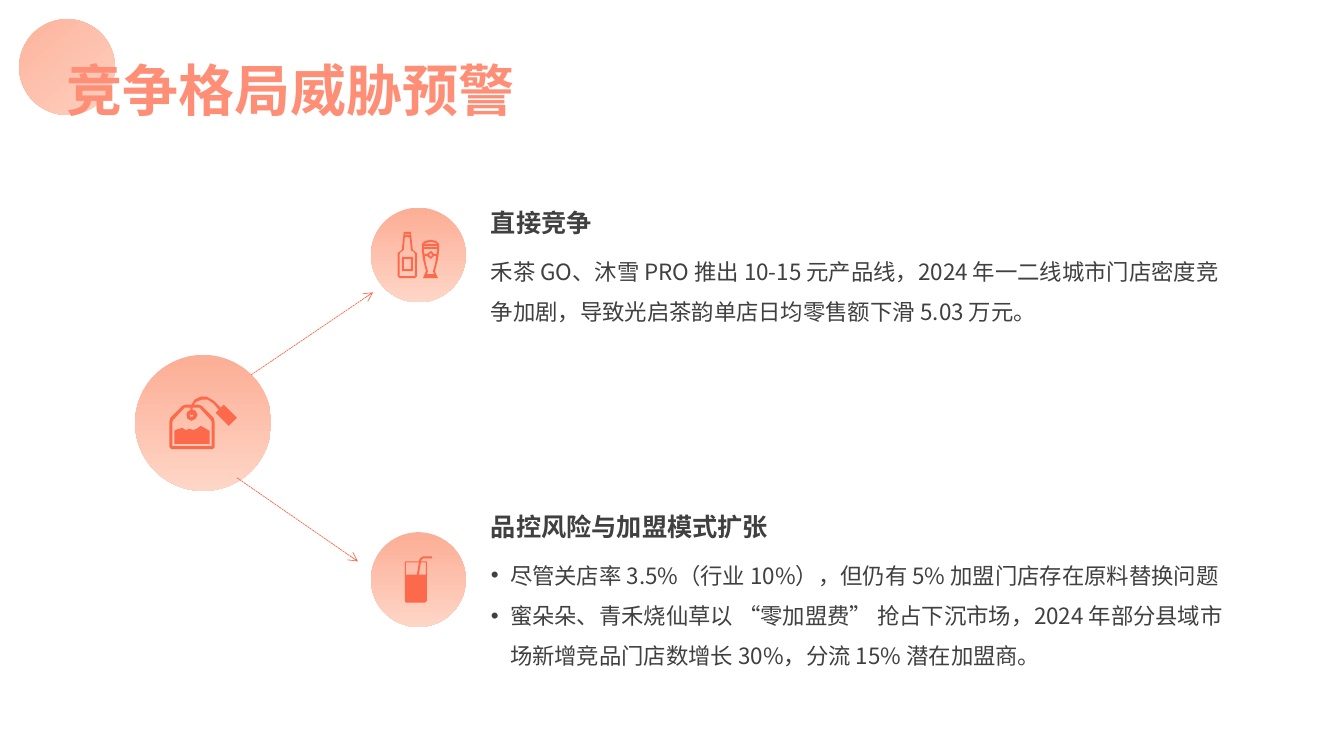
from lxml import etree
from pptx import Presentation
from pptx import util as u
from pptx.dml.color import RGBColor
from pptx.enum import dml, shapes, text
from pptx.oxml.ns import qn

FONT = "Noto Sans CJK SC"
CORAL = RGBColor(0xFC, 0x6A, 0x4B)
SALMON = RGBColor(0xFE, 0x8E, 0x76)
PEACH = RGBColor(0xFC, 0xAF, 0x97)
BLUSH = RGBColor(0xFE, 0xD6, 0xC7)
INK = RGBColor(0x40, 0x40, 0x40)

# Icon outlines in hundredths of an inch, measured from the icon's corner.
TEA_BAG = [
    [(31, 0), (37, 0), (44, 4), (51, 11), (54, 8), (67, 21), (59, 29), (46, 16),
     (49, 13), (44, 7), (38, 3), (32, 3), (27, 5), (24, 8), (29, 8), (32, 9),
     (44, 21), (45, 25), (45, 50), (43, 52), (2, 52), (0, 50), (0, 25), (1, 21),
     (13, 9), (16, 8), (22, 8), (25, 3)],
    [(15, 11), (4, 23), (3, 25), (3, 49), (42, 49), (42, 25), (41, 23), (30, 11),
     (23, 11), (23, 13), (26, 14), (28, 18), (26, 22), (22, 24), (18, 22),
     (17, 18), (18, 15), (21, 13), (21, 11)],
    [(21, 17), (21, 18), (23, 18), (23, 17), (24, 18), (23, 20), (21, 20), (20, 18)],
    [(6, 33), (9, 32), (13, 31), (16, 33), (20, 32), (24, 33), (27, 32), (31, 29),
     (35, 31), (40, 34), (40, 47), (5, 47), (5, 34)],
]
BOTTLE_AND_GLASS = [
    [(6, 0), (13, 0), (15, 18), (19, 21), (19, 44), (17, 46), (2, 46), (0, 44),
     (0, 21), (4, 18)],
    [(8, 5), (7, 6), (6, 18), (5, 19), (3, 20), (2, 22), (2, 44), (17, 44),
     (17, 22), (16, 20), (14, 19), (13, 18), (12, 6), (10, 5)],
    [(7, 2), (12, 2), (12, 3), (7, 3)],
    [(4, 25), (15, 25), (15, 39), (4, 39)],
    [(6, 27), (13, 27), (13, 37), (6, 37)],
    [(33, 8), (38, 9), (41, 12), (41, 19), (40, 27), (37, 39), (38, 42), (40, 46),
     (25, 46), (28, 39), (25, 27), (24, 19), (24, 12), (27, 9)],
    [(26, 17), (39, 17), (39, 19), (37, 32), (35, 39), (36, 42), (29, 42),
     (30, 39), (28, 32), (26, 19)],
    [(26, 14), (39, 14), (39, 15), (26, 15)],
    [(33, 10), (38, 11), (39, 12), (26, 12), (28, 11)],
    [(27, 22), (29, 22), (33, 19), (36, 22), (38, 22), (38, 24), (36, 24),
     (33, 27), (29, 24), (27, 24)],
    [(31, 23), (33, 21), (34, 23), (33, 25)],
]
JUICE = [
    [(18, 2), (27, 2), (27, 0), (18, 0), (15, 2), (14, 5), (0, 5), (0, 44),
     (1, 46), (20, 46), (22, 44), (22, 5), (16, 5), (17, 3)],
    [(1, 6), (14, 6), (12, 18), (1, 18)],
    [(21, 6), (21, 18), (14, 18), (16, 6)],
]


def inches(*lengths):
    """Turn lengths in inches into EMU."""
    return [u.Inches(length) for length in lengths]


def gradient(fill, stops, angle):
    """Give a fill a two-stop linear gradient."""
    fill.gradient()
    fill.gradient_angle = angle
    for stop, (position, color) in zip(fill.gradient_stops, stops):
        stop.position = position
        stop.color.rgb = color


def add_run(paragraph, words, size, bold=False):
    """Append a run in the slide's font and return it."""
    run = paragraph.add_run()
    run.text = words
    run.font.size = u.Pt(size)
    run.font.bold = bold
    run.font.color.rgb = INK
    run.font.name = FONT
    etree.SubElement(run.font._element, qn("a:ea"), typeface=FONT)
    return run


def add_disc(slide, left, top, size):
    """Draw a peach gradient disc."""
    disc = slide.shapes.add_shape(shapes.MSO_SHAPE.OVAL, *inches(left, top, size, size))
    disc.shadow.inherit = False
    disc.line.fill.background()
    gradient(disc.fill, [(0.04, PEACH), (1, BLUSH)], 270)
    return disc


def add_icon_disc(slide, left, top, size, outlines):
    """Draw a disc with an icon centred in it."""
    add_disc(slide, left, top, size)
    width, height = (max(p[axis] for o in outlines for p in o) / 100 for axis in (0, 1))
    builder = slide.shapes.build_freeform(*outlines[0][0], scale=u.Inches(0.01))
    for outline in outlines:
        builder.move_to(*outline[0])
        builder.add_line_segments(outline[1:], close=True)
    icon = builder.convert_to_shape(
        *inches(left + (size - width) / 2, top + (size - height) / 2))
    icon.shadow.inherit = False
    icon.fill.solid()
    icon.fill.fore_color.rgb = CORAL
    icon.line.fill.background()


def add_arrow(slide, start, end):
    """Draw a thin dashed arrow."""
    arrow = slide.shapes.add_connector(
        shapes.MSO_CONNECTOR.STRAIGHT, *inches(*start, *end))
    arrow.line.color.rgb = CORAL
    arrow.line.width = u.Pt(0.5)
    arrow.line.dash_style = dml.MSO_LINE.SQUARE_DOT
    properties = arrow.element.spPr
    etree.SubElement(properties.find(qn("a:ln")), qn("a:tailEnd"), type="arrow")
    etree.SubElement(properties, qn("a:effectLst"))


def add_title(slide, words):
    """Place the title over its corner disc."""
    title = slide.shapes.title
    title.left, title.top, title.width, title.height = inches(0.56, 0.5, 5.28, 0.77)
    frame = title.text_frame
    frame.word_wrap = True
    frame.auto_size = text.MSO_AUTO_SIZE.SHAPE_TO_FIT_TEXT
    frame.vertical_anchor = text.MSO_ANCHOR.TOP
    frame.paragraphs[0].alignment = text.PP_ALIGN.LEFT
    run = add_run(frame.paragraphs[0], words, 40, bold=True)
    gradient(run.font.fill, [(0, SALMON), (1, CORAL)], 144)
    disc = add_disc(slide, 0.19, 0.19, 0.95)
    disc.rotation = 320
    title.element.addprevious(disc.element)


def add_threat(slide, box, heading, heading_width, points, bulleted=False):
    """Place a heading with body text below it, inside the box."""
    left, top, width, height = box
    head = slide.shapes.add_textbox(*inches(left, top, heading_width, 0.4)).text_frame
    head.word_wrap = False
    head.auto_size = text.MSO_AUTO_SIZE.SHAPE_TO_FIT_TEXT
    add_run(head.paragraphs[0], heading, 18, bold=True)
    body = slide.shapes.add_textbox(
        *inches(left, top + 0.37, width, height - 0.37)).text_frame
    body.word_wrap = True
    body.auto_size = text.MSO_AUTO_SIZE.SHAPE_TO_FIT_TEXT
    for index, point in enumerate(points):
        paragraph = body.add_paragraph() if index else body.paragraphs[0]
        paragraph.line_spacing = 1.5
        if bulleted:
            properties = paragraph._p.get_or_add_pPr()
            properties.set("marL", str(u.Inches(0.19)))
            properties.set("indent", str(-u.Inches(0.19)))
            etree.SubElement(properties, qn("a:buFont"), typeface="Arial")
            etree.SubElement(properties, qn("a:buChar"), char="•")
        add_run(paragraph, point, 16)


def main():
    """Build the slide and save it."""
    deck = Presentation()
    deck.slide_width, deck.slide_height = inches(13.33, 7.5)
    slide = deck.slides.add_slide(deck.slide_layouts[5])
    add_title(slide, "竞争格局威胁预警")
    add_icon_disc(slide, 1.34, 3.52, 1.35, TEA_BAG)
    add_arrow(slide, (2.49, 3.72), (3.7, 2.9))
    add_arrow(slide, (2.35, 4.74), (3.55, 5.57))
    add_icon_disc(slide, 3.68, 2.06, 0.94, BOTTLE_AND_GLASS)
    add_threat(slide, (4.77, 2.01, 7.5, 1.25), "直接竞争", 1.21, [
        "禾茶 GO、沐雪 PRO 推出 10-15 元产品线，2024 年一二线城市门店密度竞争加剧，"
        "导致光启茶韵单店日均零售额下滑 5.03 万元。"])
    add_icon_disc(slide, 3.68, 5.28, 0.94, JUICE)
    add_threat(slide, (4.77, 5.02, 7.6, 1.65), "品控风险与加盟模式扩张", 2.98, [
        "尽管关店率 3.5%（行业 10%），但仍有 5% 加盟门店存在原料替换问题",
        "蜜朵朵、青禾烧仙草以 “零加盟费” 抢占下沉市场，2024 年部分县域市场新增竞品"
        "门店数增长 30%，分流 15% 潜在加盟商。"], bulleted=True)
    deck.save("out.pptx")


if __name__ == "__main__":
    main()
